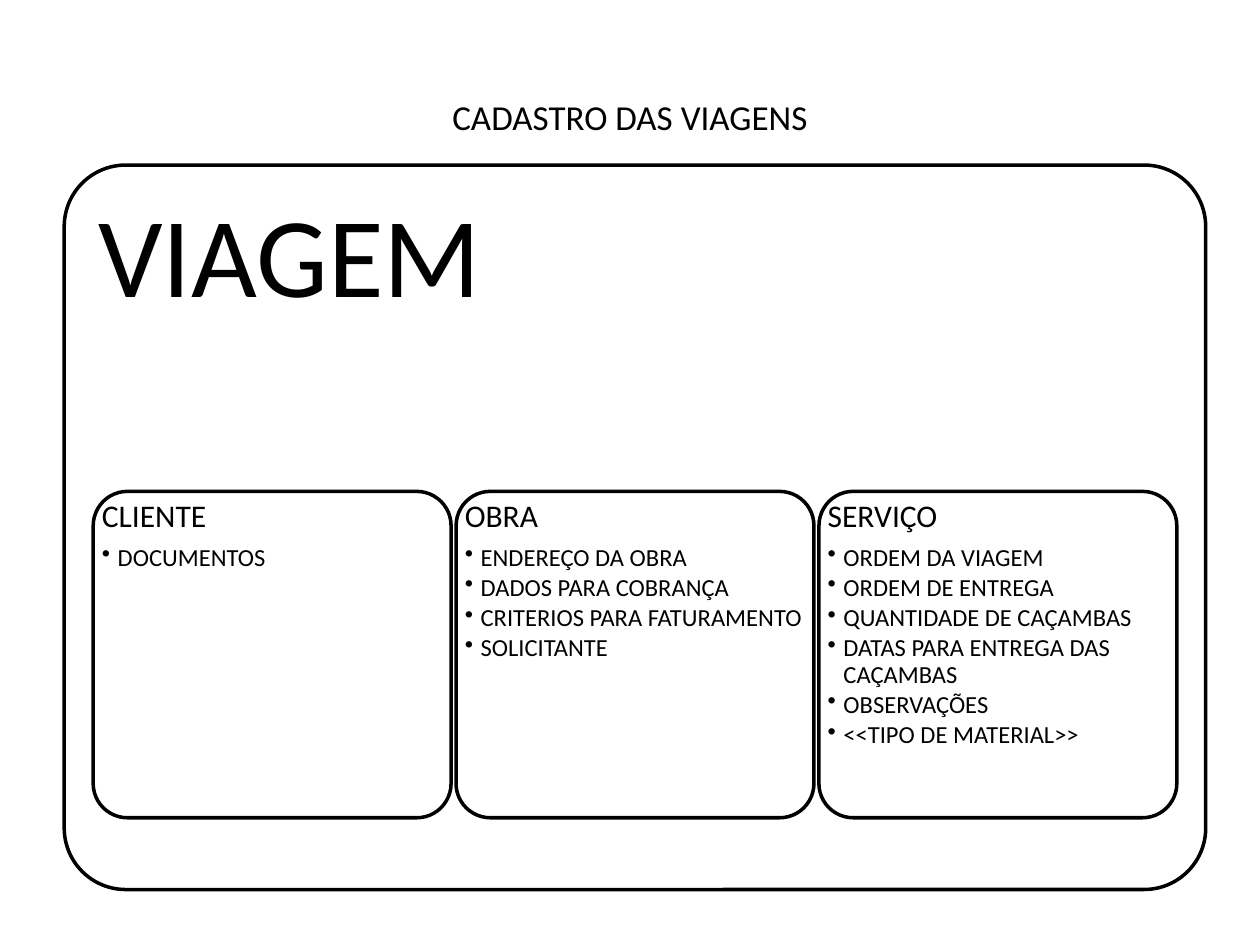
import pptx
import pptx.util
import pptx.dml.color
import pptx.enum.shapes
import pptx.enum.text
import pptx.oxml
import pptx.oxml.ns

Pt = pptx.util.Pt
Align = pptx.enum.text.PP_ALIGN
Anchor = pptx.enum.text.MSO_ANCHOR
BLACK = pptx.dml.color.RGBColor(0, 0, 0)
WHITE = pptx.dml.color.RGBColor(255, 255, 255)
FONT = "Calibri"

# Lengths in points
LEFT, TOP, WIDTH, HEIGHT = 53.3, 280.8, 204.5, 186.5
STEP = 207.35
CARDS = [
    ("CLIENTE", ["DOCUMENTOS"]),
    ("OBRA", ["ENDEREÇO DA OBRA", "DADOS PARA COBRANÇA",
              "CRITERIOS PARA FATURAMENTO", "SOLICITANTE"]),
    ("SERVIÇO", ["ORDEM DA VIAGEM", "ORDEM DE ENTREGA",
                 "QUANTIDADE DE CAÇAMBAS", "DATAS PARA ENTREGA DAS CAÇAMBAS",
                 "OBSERVAÇÕES", "<<TIPO DE MATERIAL>>"]),
]


def add_panel(slide, box, round_by):
    kind = pptx.enum.shapes.MSO_SHAPE.ROUNDED_RECTANGLE
    panel = slide.shapes.add_shape(kind, *map(Pt, box))
    panel.adjustments[0] = round_by
    panel.shadow.inherit = False
    panel.fill.solid()
    panel.fill.fore_color.rgb = WHITE
    panel.line.color.rgb = BLACK
    panel.line.width = Pt(2)


def add_frame(slide, box, inset, anchor=Anchor.TOP):
    frame = slide.shapes.add_textbox(*map(Pt, box)).text_frame
    frame.word_wrap = True
    frame.vertical_anchor = anchor
    frame.margin_left = frame.margin_right = Pt(inset)
    frame.margin_top = frame.margin_bottom = Pt(inset)
    return frame


def add_bullet(para):
    props = para._p.get_or_add_pPr()
    props.set("marL", str(Pt(9)))
    props.set("indent", str(-Pt(9)))
    mark = pptx.oxml.parse_xml(
        '<a:buChar %s char="•"/>' % pptx.oxml.ns.nsdecls("a"))
    props.append(mark)


def write(frame, text, size, after=0, line=0.9, align=Align.LEFT,
          bullet=False):
    # The first paragraph of a frame already exists
    para = frame.paragraphs[0]
    if para.runs:
        para = frame.add_paragraph()
    para.alignment = align
    para.line_spacing = line
    para.space_before = Pt(0)
    para.space_after = Pt(after)
    if bullet:
        para.level = 1
        add_bullet(para)
    run = para.add_run()
    run.text = text
    run.font.name = FONT
    run.font.size = Pt(size)
    run.font.color.rgb = BLACK


def add_card(slide, box, head, items):
    add_panel(slide, box, 0.105)
    frame = add_frame(slide, box, 5)
    write(frame, head, 18, after=6.3)
    for item in items:
        write(frame, item, 14, after=2.1, bullet=True)


def main():
    deck = pptx.Presentation()
    deck.slide_width, deck.slide_height = Pt(720), Pt(540)
    slide = deck.slides.add_slide(deck.slide_layouts[6])

    # Title
    title = add_frame(slide, (36, 21.6, 648, 90), 4, Anchor.MIDDLE)
    write(title, "CADASTRO DAS VIAGENS", 20, line=1.0, align=Align.CENTER)

    # Outer panel
    outer = (36.7, 94.3, 652.3, 414)
    add_panel(slide, outer, 0.085)
    write(add_frame(slide, outer, 19.5), "VIAGEM", 65)

    # Row of cards
    for i, (head, items) in enumerate(CARDS):
        box = (LEFT + i * STEP, TOP, WIDTH, HEIGHT)
        add_card(slide, box, head, items)

    deck.save("out.pptx")


main()
